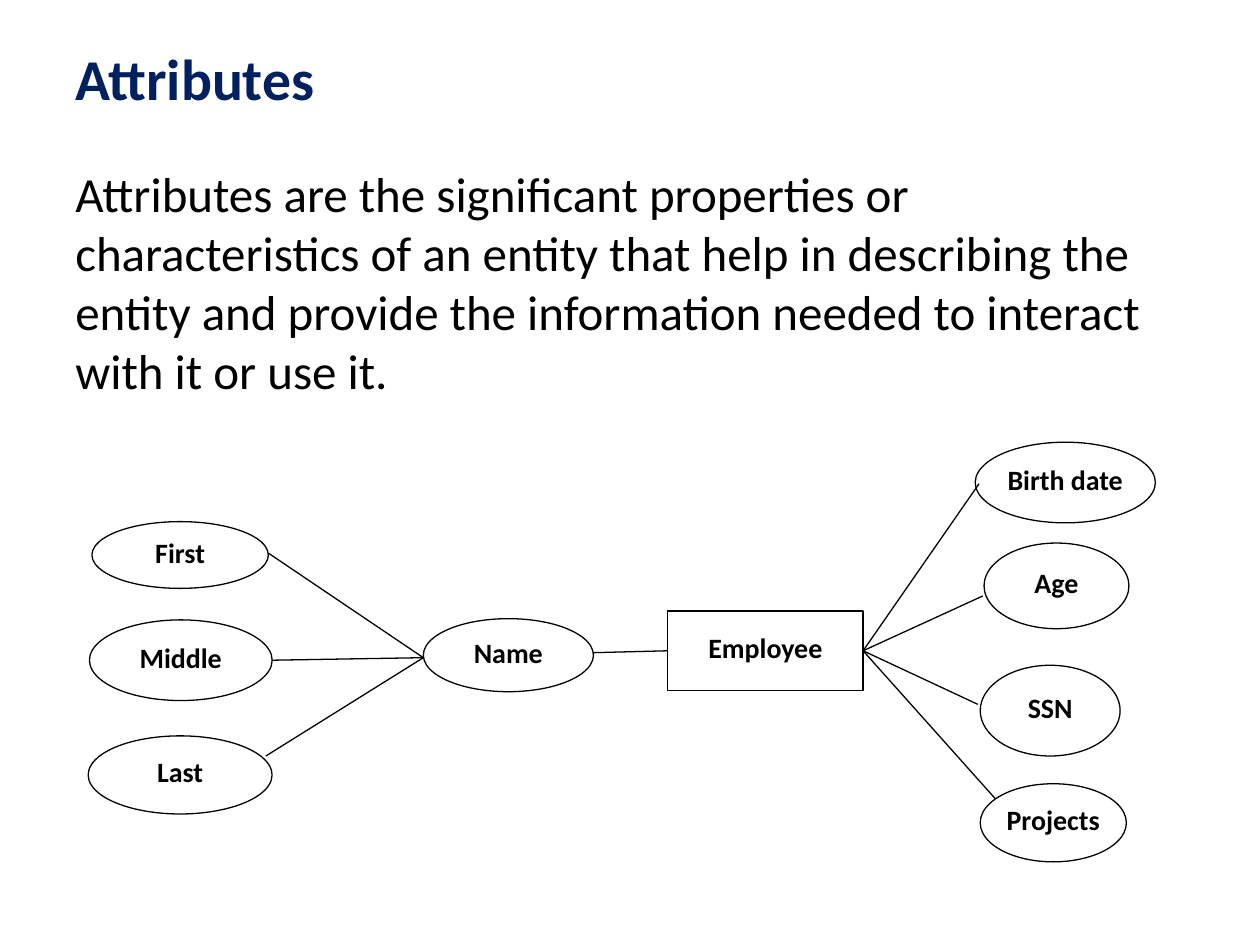
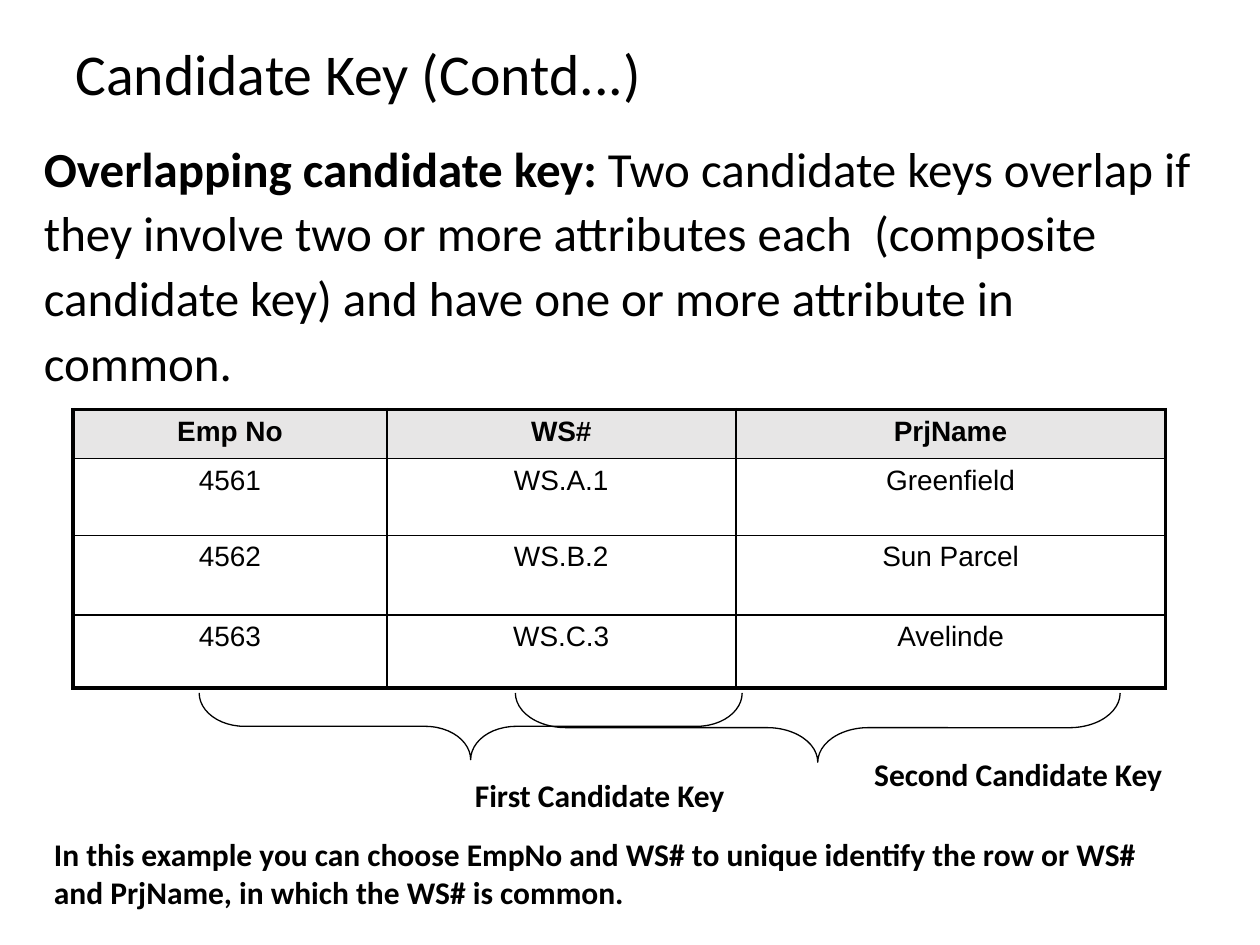
from lxml.etree import SubElement
from pptx import Presentation
from pptx.dml.color import RGBColor
from pptx.enum.shapes import MSO_CONNECTOR, MSO_SHAPE
from pptx.enum.text import MSO_ANCHOR, PP_ALIGN
from pptx.oxml.ns import qn
from pptx.util import Emu, Inches, Pt

# The slide is a grid of 100 columns by 75 rows of square cells.
COLUMNS, ROWS = 100, 75
SLIDE_WIDTH, SLIDE_HEIGHT = Inches(10), Inches(7.5)

BLACK, WHITE, NAVY, HEADER_GREY = "000000", "FFFFFF", "002060", "E7E6E6"
BODY_FONT, TABLE_FONT = "Calibri", "Arial"
THIN, TABLE_INNER, TABLE_OUTER = 0.75, 1, 2.25
EMPLOYEE_LEFT, EMPLOYEE_RIGHT = 1, 3

# label: (ellipse box, end of its line)
NAME_PARTS = {
    "First": ((7.3, 41.4, 14, 5.3), (21.3, 43.9)),
    "Middle": ((7.1, 49.2, 14.5, 6.4), (21.6, 52.4)),
    "Last": ((7, 58.4, 14.6, 6.2), (21.1, 60)),
}
EMPLOYEE_ATTRIBUTES = {
    "Birth date": ((77.4, 35.1, 14.3, 6.4), (77.7, 38.4)),
    "Age": ((78.1, 43.1, 11.5, 6.8), (78, 47.3)),
    "SSN": ((77.8, 52.8, 11.1, 7.2), (77.6, 55.9)),
    "Projects": ((77.8, 62.2, 11.6, 6.2), (79, 63.4)),
}
ASSIGNMENTS = [
    ["Emp No", "WS#", "PrjName"],
    ["4561", "WS.A.1", "Greenfield"],
    ["4562", "WS.B.2", "Sun Parcel"],
    ["4563", "WS.C.3", "Avelinde"],
]


def col(count):
    return Emu(round(SLIDE_WIDTH * count / COLUMNS))


def row(count):
    return Emu(round(SLIDE_HEIGHT * count / ROWS))


def place(left, top, width, height):
    return col(left), row(top), col(width), row(height)


def color(hex_code):
    return RGBColor.from_string(hex_code)


def style(paragraph, size, bold=False, ink=BLACK, font=BODY_FONT):
    for run in paragraph.runs:
        run.font.name = font
        run.font.size = Pt(size)
        run.font.bold = bold
        run.font.color.rgb = color(ink)


def add_text(slide, box, text, size, bold=False, ink=BLACK, spacing=1.0,
             anchor=MSO_ANCHOR.TOP):
    frame = slide.shapes.add_textbox(*place(*box)).text_frame
    frame.word_wrap = True
    frame.vertical_anchor = anchor
    paragraph = frame.paragraphs[0]
    paragraph.text = text
    paragraph.line_spacing = spacing
    style(paragraph, size, bold, ink)
    return paragraph


def add_title(slide, text, height, bold=False, ink=BLACK):
    add_text(slide, (5, 3, 81.7, height), text, 33, bold, ink, 0.9,
             MSO_ANCHOR.MIDDLE)


def outline(shape):
    shape.line.color.rgb = color(BLACK)
    shape.line.width = Pt(THIN)


def add_node(slide, kind, box, label):
    node = slide.shapes.add_shape(kind, *place(*box))
    node.shadow.inherit = False
    node.fill.solid()
    node.fill.fore_color.rgb = color(WHITE)
    outline(node)
    frame = node.text_frame
    frame.word_wrap = False
    frame.vertical_anchor = MSO_ANCHOR.MIDDLE
    paragraph = frame.paragraphs[0]
    paragraph.text = label
    paragraph.alignment = PP_ALIGN.CENTER
    paragraph.line_spacing = 0.8
    style(paragraph, 16, bold=True)
    return node


def add_link(slide, start, end):
    link = slide.shapes.add_connector(
        MSO_CONNECTOR.STRAIGHT, col(start[0]), row(start[1]),
        col(end[0]), row(end[1]))
    outline(link)
    SubElement(link._element.spPr, qn("a:effectLst"))
    return link


def add_brace(slide, left, top, width, depth, curl):
    """Draw a brace that opens upwards, by turning a right brace."""
    brace = slide.shapes.add_shape(
        MSO_SHAPE.RIGHT_BRACE,
        *place(left + (width - depth) / 2, top + (depth - width) / 2,
               depth, width))
    brace.rotation = 90
    brace.adjustments[0] = curl
    brace.adjustments[1] = 0.5
    brace.shadow.inherit = False
    brace.fill.background()
    outline(brace)


def set_border(cell, side, width):
    border = SubElement(cell._tc.get_or_add_tcPr(), qn(f"a:ln{side}"),
                        w=str(Pt(width)))
    fill = SubElement(border, qn("a:solidFill"))
    SubElement(fill, qn("a:srgbClr"), val=BLACK)


def add_assignment_table(slide, left, top, widths, heights):
    table = slide.shapes.add_table(
        len(heights), len(widths),
        *place(left, top, sum(widths), sum(heights))).table
    table.first_row = table.horz_banding = False
    for column, width in zip(table.columns, widths):
        column.width = col(width)
    for line, height in zip(table.rows, heights):
        line.height = row(height)
    last_row, last_column = len(heights) - 1, len(widths) - 1
    for r, values in enumerate(ASSIGNMENTS):
        for c, value in enumerate(values):
            cell = table.cell(r, c)
            outer_sides = {"L": c == 0, "R": c == last_column,
                           "T": r == 0, "B": r == last_row}
            for side, is_outer in outer_sides.items():
                set_border(cell, side, TABLE_OUTER if is_outer else TABLE_INNER)
            if r == 0:
                cell.fill.solid()
                cell.fill.fore_color.rgb = color(HEADER_GREY)
            else:
                cell.fill.background()
            paragraph = cell.text_frame.paragraphs[0]
            paragraph.text = value
            paragraph.alignment = PP_ALIGN.CENTER
            style(paragraph, 16, bold=r == 0, font=TABLE_FONT)


def build_attributes(slide):
    add_title(slide, "Attributes", 7, bold=True, ink=NAVY)
    add_text(slide, (5, 12.5, 88.3, 19.9),
             "Attributes are the significant properties or characteristics of "
             "an entity that help in describing the entity and provide the "
             "information needed to interact with it or use it.", 28)

    add_node(slide, MSO_SHAPE.OVAL, (33.6, 49.1, 13.5, 5.8), "Name")
    employee = add_node(slide, MSO_SHAPE.RECTANGLE, (53, 48.5, 15.5, 6.3),
                        "Employee")
    for label, (box, line_end) in NAME_PARTS.items():
        add_node(slide, MSO_SHAPE.OVAL, box, label)
        add_link(slide, line_end, (33.6, 52.2))
    for label, (box, line_end) in EMPLOYEE_ATTRIBUTES.items():
        add_node(slide, MSO_SHAPE.OVAL, box, label)
        link = add_link(slide, line_end, (68.5, 51.6))
        link.end_connect(employee, EMPLOYEE_RIGHT)
    name_link = add_link(slide, (47.1, 51.8), (53, 51.8))
    name_link.end_connect(employee, EMPLOYEE_LEFT)


def build_candidate_key(slide):
    add_title(slide, "Candidate Key (Contd...)", 6.2)
    definition = add_text(slide, (2.5, 10, 94.2, 21.7),
                          "Overlapping candidate key: ", 28, spacing=1.1)
    definition.add_run().text = (
        "Two candidate keys overlap if they involve two or more attributes "
        "each  (composite candidate key) and have one or more attribute in "
        "common.")
    style(definition, 28)
    definition.runs[0].font.bold = True

    add_assignment_table(slide, 5.8, 32.5, (24.9, 27.7, 34.1),
                         (3.9, 6.1, 6.3, 5.8))
    add_brace(slide, 15.8, 55, 43.1, 5.3, 0.68)
    add_brace(slide, 40.9, 55, 48, 5.5, 0.73)
    add_text(slide, (36.7, 61.7, 28.5, 3.4), "First Candidate Key", 18,
             bold=True, spacing=0.8)
    add_text(slide, (68.4, 60, 31.6, 3.4), "Second Candidate Key", 18,
             bold=True, spacing=0.8)
    add_text(slide, (3.3, 65.8, 90, 7.1),
             "In this example you can choose EmpNo and WS# to unique identify "
             "the row or WS# and PrjName, in which the WS# is common.", 18,
             bold=True)


def main():
    deck = Presentation()
    deck.slide_width, deck.slide_height = SLIDE_WIDTH, SLIDE_HEIGHT
    blank = deck.slide_layouts[6]
    for build in (build_attributes, build_candidate_key):
        build(deck.slides.add_slide(blank))
    deck.save("out.pptx")


if __name__ == "__main__":
    main()
